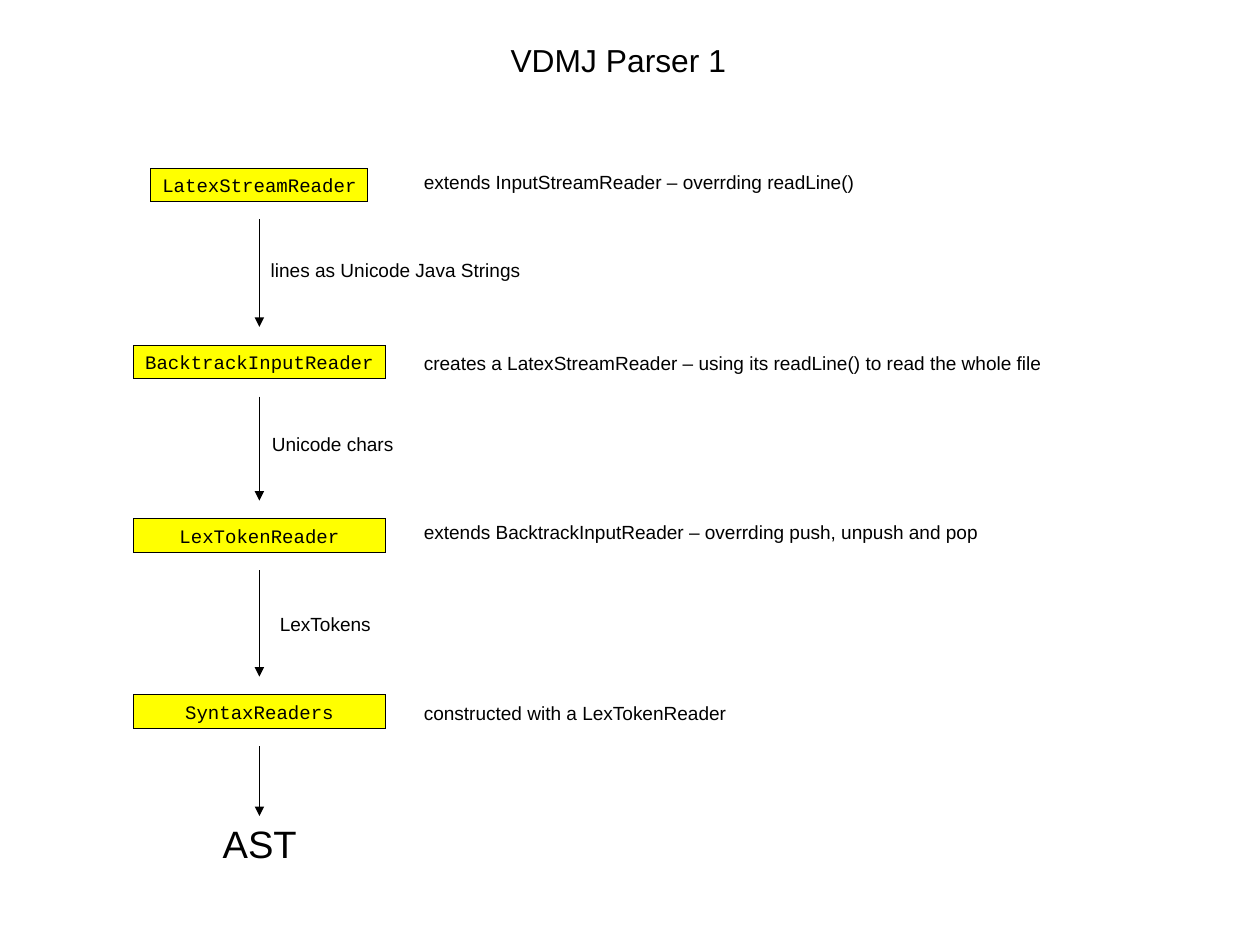
import dataclasses

import lxml.etree
import pptx
import pptx.dml.color
import pptx.enum.shapes
import pptx.enum.text
import pptx.oxml.ns
import pptx.util

PX = 9144  # one px is 1/100 inch
ALIGN = pptx.enum.text.PP_ALIGN


@dataclasses.dataclass(frozen=True)
class Theme:
    ink: str = "000000"
    fill: str = "FFFF00"
    sans: str = "Arial"
    mono: str = "Courier New"
    small: int = 12
    title: int = 20
    large: int = 24


THEME = Theme()
ROW = 29  # height of a one-line box
GAP = 16  # space between a box and its arrows
AXIS = 227  # centre line of the chain
NOTE = 361  # left edge of the notes

# Class name, box top, box width, note, note top, note width
STAGES = [
    ("LatexStreamReader", 147, 190,
     "extends InputStreamReader – overrding readLine()", 145, 398),
    ("BacktrackInputReader", 302, 220,
     "creates a LatexStreamReader – using its readLine() to read the whole file",
     303, 563),
    ("LexTokenReader", 454, 220,
     "extends BacktrackInputReader – overrding push, unpush and pop", 451, 507),
    ("SyntaxReaders", 608, 220,
     "constructed with a LexTokenReader", 609, 286),
]

# Data passed down each arrow: text, left, top, width
FLOWS = [
    ("lines as Unicode Java Strings", 227, 222, 239),
    ("Unicode chars", 228, 374, 127),
    ("LexTokens", 235, 531, 100),
]
RESULT = (185, 714, 85, 47)


def emu(*sizes):
    return [pptx.util.Emu(size * PX) for size in sizes]


def color(code):
    return pptx.dml.color.RGBColor.from_string(code)


def write(shape, text, font=THEME.sans, size=THEME.small,
          align=ALIGN.LEFT, wrap=False):
    frame = shape.text_frame
    frame.text = text
    frame.word_wrap = wrap
    frame.auto_size = pptx.enum.text.MSO_AUTO_SIZE.NONE
    frame.vertical_anchor = pptx.enum.text.MSO_ANCHOR.MIDDLE
    frame.margin_left, frame.margin_right = emu(10, 10)
    frame.margin_top, frame.margin_bottom = emu(5, 5)
    para = frame.paragraphs[0]
    para.alignment = align
    para.font.name = font
    para.font.size = pptx.util.Pt(size)
    para.font.color.rgb = color(THEME.ink)


def label(slide, text, box, **style):
    write(slide.shapes.add_textbox(*emu(*box)), text, **style)


def hairline(shape):
    shape.line.color.rgb = color(THEME.ink)
    edge = shape._element.spPr.find(pptx.oxml.ns.qn("a:ln"))
    edge.set("w", "0")  # line.width = 0 would fall back to the style
    return edge


def heading(slide, text, box):
    title = slide.shapes.title
    title.left, title.top, title.width, title.height = emu(*box)
    write(title, text, size=THEME.title, align=ALIGN.CENTER, wrap=True)


def stage(slide, name, box):
    kind = pptx.enum.shapes.MSO_SHAPE.RECTANGLE
    shape = slide.shapes.add_shape(kind, *emu(*box))
    shape.shadow.inherit = False
    shape.fill.solid()
    shape.fill.fore_color.rgb = color(THEME.fill)
    hairline(shape)
    write(shape, name, font=THEME.mono, align=ALIGN.CENTER, wrap=True)


def arrow(slide, top, end):
    kind = pptx.enum.shapes.MSO_CONNECTOR.STRAIGHT
    line = slide.shapes.add_connector(kind, *emu(AXIS, top, AXIS, end))
    qn = pptx.oxml.ns.qn
    tail = lxml.etree.SubElement(hairline(line), qn("a:tailEnd"))
    tail.set("type", "triangle")
    lxml.etree.SubElement(line._element.spPr, qn("a:effectLst"))


def chain(slide):
    # Classes with their notes
    for name, top, width, note, line, span in STAGES:
        stage(slide, name, (AXIS - width // 2, top, width, ROW))
        label(slide, note, (NOTE, line, span, ROW))

    # Arrows to the next class, the last one to the result
    tops = [item[1] for item in STAGES]
    ends = [top - GAP for top in tops[1:]] + [RESULT[1]]
    for top, end in zip(tops, ends):
        arrow(slide, top + ROW + GAP, end)

    # Data on the arrows
    for text, left, top, width in FLOWS:
        label(slide, text, (left, top, width, ROW))
    label(slide, "AST", RESULT, size=THEME.large)


def main():
    deck = pptx.Presentation()
    deck.slide_width, deck.slide_height = pptx.util.Cm(28), pptx.util.Cm(21)
    slide = deck.slides.add_slide(deck.slide_layouts.get_by_name("Title Only"))
    heading(slide, "VDMJ Parser 1", (354, 20, 374, 64))
    chain(slide)
    deck.save("out.pptx")


if __name__ == "__main__":
    main()
